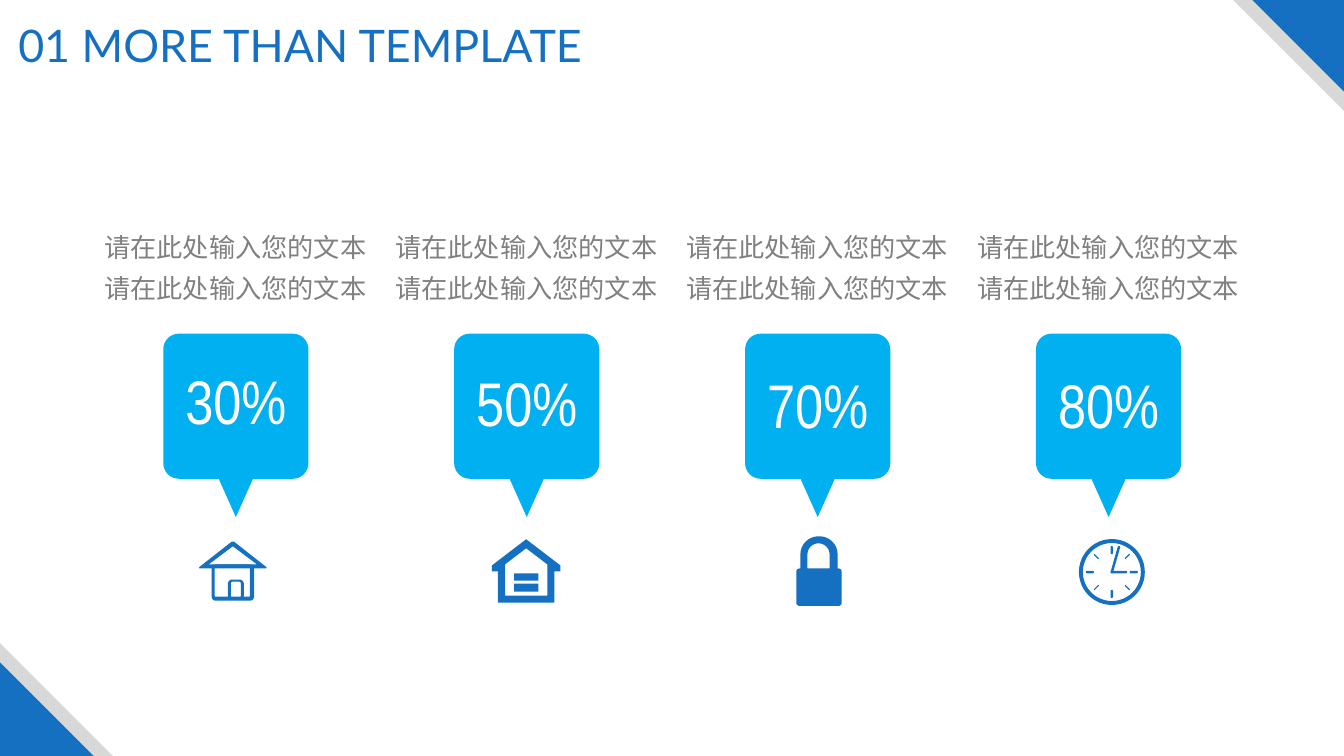
import math

from lxml import etree
from pptx import Presentation
from pptx.dml.color import RGBColor
from pptx.enum.shapes import MSO_SHAPE
from pptx.enum.text import MSO_AUTO_SIZE, PP_ALIGN
from pptx.oxml.ns import qn
from pptx.util import Inches, Pt

TRIANGLE = MSO_SHAPE.RIGHT_TRIANGLE
DONUT = MSO_SHAPE.DONUT
CENTER = PP_ALIGN.CENTER
GROW = MSO_AUTO_SIZE.SHAPE_TO_FIT_TEXT

# The grid has ten columns and ten rows to the inch.
COLUMNS, ROWS = 133.33, 75
FIRST_CENTER, CENTER_STEP = 23.4, 28.86

BLUE, SKY, SILVER, GRAY, WHITE = "1570C1", "00B0F0", "D7D8D8", "808080", "FFFFFF"
TITLE_FONT, NUMBER_FONT, LABEL_FONT = "Lato", "Arial Narrow", "Noto Sans CJK SC"
LABEL = "请在此处输入您的文本"


def color(value):
    return RGBColor.from_string(value)


def grid(cells):
    return Inches(cells / 10)


def rounded(corners, steps=8):
    """Turn (column, row, radius) corners into a closed outline of points."""
    outline = []
    for index, (x, y, radius) in enumerate(corners):
        if not radius:
            outline.append((x, y))
            continue
        ends = []
        for neighbor in (corners[index - 1], corners[(index + 1) % len(corners)]):
            distance = math.hypot(neighbor[0] - x, neighbor[1] - y)
            share = radius / distance
            ends.append((x + (neighbor[0] - x) * share, y + (neighbor[1] - y) * share))
        start, end = ends
        handles = [(a + (x - a) * 0.55, b + (y - b) * 0.55) for a, b in ends]
        for step in range(steps + 1):
            t = step / steps
            weights = ((1 - t) ** 3, 3 * t * (1 - t) ** 2, 3 * t * t * (1 - t), t ** 3)
            curve = (start, handles[0], handles[1], end)
            outline.append(tuple(
                sum(weight * point[axis] for weight, point in zip(weights, curve))
                for axis in (0, 1)
            ))
    return outline


def box(left, top, right, bottom, radius=0):
    return rounded([(left, top, radius), (right, top, radius),
                    (right, bottom, radius), (left, bottom, radius)])


class Canvas:
    """Holds the slide and the style shared by its elements."""

    def __init__(self, presentation):
        self.slide = presentation.slides.add_slide(presentation.slide_layouts[6])
        self.shapes = self.slide.shapes

    def paint(self, shape, fill):
        shape.shadow.inherit = False
        shape.fill.solid()
        shape.fill.fore_color.rgb = color(fill)
        shape.line.fill.background()
        return shape

    def preset(self, kind, left, top, size, fill):
        shape = self.shapes.add_shape(kind, grid(left), grid(top), grid(size), grid(size))
        return self.paint(shape, fill)

    def outline(self, contours, fill=BLUE):
        """Draw closed contours as one shape; inner contours become holes."""
        builder = None
        for contour in contours:
            points = [(grid(x), grid(y)) for x, y in contour]
            if builder is None:
                builder = self.shapes.build_freeform(*points[0])
            else:
                builder.move_to(*points[0])
            builder.add_line_segments(points[1:], close=True)
        return self.paint(builder.convert_to_shape(), fill)

    def bar(self, start, end, width):
        """Draw a round-ended bar between two points."""
        (x1, y1), (x2, y2) = start, end
        length = math.hypot(x2 - x1, y2 - y1)
        half = width / 2
        dx, dy = (x2 - x1) / length * half, (y2 - y1) / length * half
        self.outline([rounded([
            (x1 - dx - dy, y1 - dy + dx, half), (x1 - dx + dy, y1 - dy - dx, half),
            (x2 + dx + dy, y2 + dy - dx, half), (x2 + dx - dy, y2 + dy + dx, half),
        ])])

    def text(self, lines, left, top, width, height, size, font, fill,
             wrap=True, spacing=None):
        shape = self.shapes.add_textbox(grid(left), grid(top), grid(width), grid(height))
        frame = shape.text_frame
        frame.word_wrap = wrap
        frame.auto_size = GROW
        for index, line in enumerate(lines):
            paragraph = frame.add_paragraph() if index else frame.paragraphs[0]
            paragraph.alignment = CENTER
            if spacing:
                paragraph.line_spacing = spacing
            run = paragraph.add_run()
            run.text = line
            run.font.size = Pt(size)
            run.font.name = font
            run.font.color.rgb = color(fill)
            east_asian = etree.SubElement(run.font._element, qn("a:ea"))
            east_asian.set("typeface", font)

    def corners(self):
        for size, fill in ((11, SILVER), (9.1, BLUE)):
            self.preset(TRIANGLE, COLUMNS - size, 0, size, fill).rotation = 180
        for size, fill in ((11.2, SILVER), (9.3, BLUE)):
            self.preset(TRIANGLE, 0, ROWS - size, size, fill)

    def callout(self, center, percent, percent_top):
        left, right, top, bottom = center - 7.2, center + 7.2, 33.1, 47.5
        self.outline([rounded([
            (left, top, 1.55), (right, top, 1.55), (right, bottom, 1.55),
            (center + 1.7, bottom, 0), (center, 51.3, 0), (center - 1.7, bottom, 0),
            (left, bottom, 1.55),
        ])], SKY)
        self.text([percent], center - 6.45, percent_top, 12.9, 8.4, 44,
                  NUMBER_FONT, WHITE, wrap=False)
        self.text([LABEL, LABEL], center - 14.65, 21.5, 29.2, 9.2, 18.7,
                  LABEL_FONT, GRAY, spacing=1.3)

    def house(self):
        self.outline([box(21, 56, 25.2, 59.6, 0.4), box(21.3, 56.3, 24.8, 59.2, 0.1)])
        self.outline([
            rounded([(19.6, 56.4, 0.3), (23.1, 53.65, 0.2), (26.6, 56.4, 0.3)]),
            [(25.5, 56), (23.1, 54.2), (20.7, 56)],
        ])
        self.outline([box(22.6, 57.5, 24.2, 59.5, 0.45), box(22.9, 57.7, 23.9, 59.3, 0.2)])

    def warehouse(self):
        self.outline([
            [(52.2, 53.5), (55.6, 56.1), (55.6, 56.7), (55, 56.7), (55, 59.8),
             (49.4, 59.8), (49.4, 56.7), (48.8, 56.7), (48.8, 56.1)],
            [(54.3, 59.1), (50.1, 59.1), (50.1, 56), (52.2, 54.4), (54.3, 56)],
            box(51, 56.9, 53.4, 57.6),
            box(51, 57.9, 53.4, 58.7),
        ])

    def padlock(self):
        self.outline([
            rounded([
                (79, 60.1, 0.3), (79, 56.4, 0.3), (79.4, 56.4, 0), (79.4, 53.2, 1.8),
                (83.1, 53.2, 1.8), (83.1, 56.4, 0), (83.5, 56.4, 0.3), (83.5, 60.1, 0.3),
            ]),
            rounded([(80.1, 56.4, 0), (80.1, 53.9, 1.1), (82.3, 53.9, 1.1), (82.3, 56.4, 0)]),
        ])

    def clock(self):
        x, y = 110.3, 56.75
        ring = self.preset(DONUT, x - 3.27, y - 3.27, 6.54, BLUE)
        ring.adjustments[0] = 0.06
        for tick in range(8):
            angle = tick * math.pi / 4
            across, down = math.cos(angle), math.sin(angle)
            self.bar((x + 1.9 * across, y + 1.9 * down),
                     (x + 2.45 * across, y + 2.45 * down), 0.12 if tick % 2 else 0.25)
        for hand_end in ((x + 0.7, 54.3), (x + 1.4, y)):
            self.bar((x, y), hand_end, 0.25)


def main():
    presentation = Presentation()
    presentation.slide_width, presentation.slide_height = grid(COLUMNS), grid(ROWS)
    canvas = Canvas(presentation)
    canvas.corners()
    canvas.text(["01 MORE THAN TEMPLATE"], 0.2, 1.3, 59.2, 6.4, 32, TITLE_FONT, BLUE)
    columns = (
        ("30%", 35.5, canvas.house),
        ("50%", 35.7, canvas.warehouse),
        ("70%", 35.9, canvas.padlock),
        ("80%", 35.9, canvas.clock),
    )
    for index, (percent, percent_top, draw_icon) in enumerate(columns):
        canvas.callout(FIRST_CENTER + index * CENTER_STEP, percent, percent_top)
        draw_icon()
    presentation.save("out.pptx")


if __name__ == "__main__":
    main()
